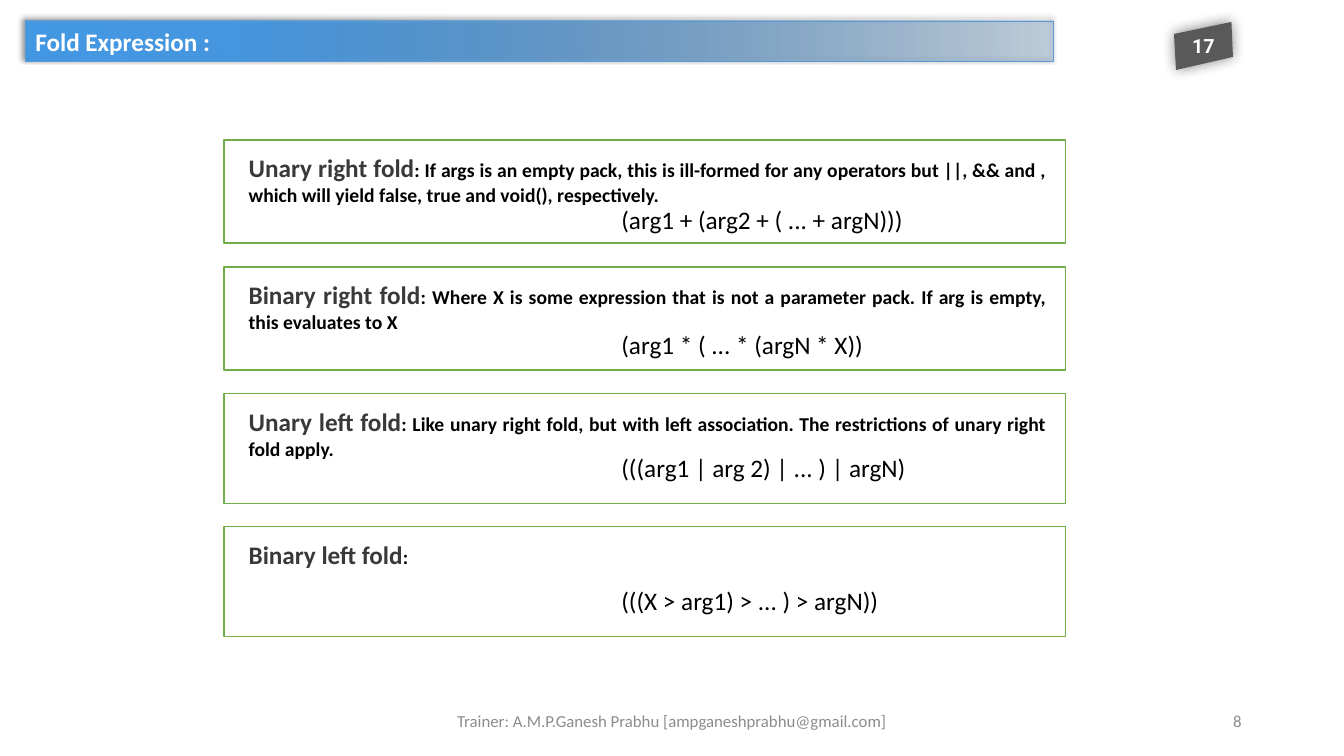
from pptx import Presentation
from pptx.dml.color import RGBColor
from pptx.enum.shapes import MSO_SHAPE
from pptx.enum.text import MSO_ANCHOR, PP_ALIGN
from pptx.oxml import parse_xml
from pptx.oxml.ns import nsdecls, qn
from pptx.util import Pt

RECT = MSO_SHAPE.RECTANGLE
TOP, MIDDLE = MSO_ANCHOR.TOP, MSO_ANCHOR.MIDDLE
LEFT, CENTER, RIGHT, JUSTIFY = (PP_ALIGN.LEFT, PP_ALIGN.CENTER,
                                PP_ALIGN.RIGHT, PP_ALIGN.JUSTIFY)

# Content
TITLE = "Fold Expression :"
BADGE = "17"
FOOTER = "Trainer: A.M.P.Ganesh Prabhu [ampganeshprabhu@gmail.com]"
PAGE = "8"
# name, description, formula, card top, card height, formula top
FOLDS = [
    ("Unary right fold",
     ": If args is an empty pack, this is ill-formed for any operators but ||, && and , "
     "which will yield false, true and void(), respectively.",
     "(arg1 + (arg2 + ( ... + argN)))", 100, 73.5, 142.5),
    ("Binary right fold",
     ": Where X is some expression that is not a parameter pack. "
     "If arg is empty, this evaluates to X",
     "(arg1 * ( ... * (argN * X))", 190.8, 73.5, 231.5),
    ("Unary left fold",
     ": Like unary right fold, but with left association. "
     "The restrictions of unary right fold apply.",
     "(((arg1 | arg 2) | ... ) | argN)", 281.2, 78.5, 319.6),
    ("Binary left fold", ":",
     "(((X > arg1) > ... ) > argN))", 376, 78.5, 414.7),
]

THEME = {
    "font": "Calibri", "badge_font": "Roboto",
    "large": 18, "text": 14, "small": 12,
    "white": "FFFFFF", "black": "000000", "name": "3B3838", "muted": "8C8C8C",
    "card_line": "70AD47", "title_line": "5B9BD5", "badge": "595959",
    # position %, colour, opacity %
    "gradient": [(0, "3674AD", 23), (80, "4697E0", 100), (100, "4498E4", 100)],
}

# Layout, in points
CARD_LEFT, CARD_WIDTH = 160, 601
TEXT_LEFT, TEXT_WIDTH, TEXT_DROP = 170.6, 584, 5.5
FORMULA_LEFT, FORMULA_WIDTH, LINE_HEIGHT = 436.8, 272, 29
FOOTER_TOP = 500.5
BADGE_CORNERS = [(838.6, 24.3), (879.6, 15.7), (880.7, 40.7), (840, 50)]


def color(key):
    return RGBColor.from_string(THEME[key])


def style(font, size, ink, bold=False, face="font"):
    font.name, font.size, font.bold = THEME[face], Pt(THEME[size]), bold
    font.color.rgb = color(ink)


def add_shadow(shape, opacity, blur, dist=0, angle=0):
    shape.shadow.inherit = False
    shape._element.spPr.find(qn("a:effectLst")).append(parse_xml(
        f'<a:outerShdw {nsdecls("a")} blurRad="{Pt(blur)}" dist="{Pt(dist)}" '
        f'dir="{angle * 60000}" algn="ctr" rotWithShape="0"><a:srgbClr val="000000">'
        f'<a:alpha val="{opacity * 1000}"/></a:srgbClr></a:outerShdw>'))


def add_text(shapes, box, text, size, ink, align=LEFT, anchor=TOP):
    tf = shapes.add_textbox(*map(Pt, box)).text_frame
    tf.word_wrap, tf.vertical_anchor = True, anchor
    p = tf.paragraphs[0]
    p.text, p.alignment = text, align
    style(p.font, size, ink)


def add_title(s):
    title = s.shapes.title
    title.left, title.top, title.width, title.height = map(Pt, (18, 15, 734.4, 29))
    title.line.color.rgb = color("title_line")
    title.line.width = Pt(0.5)
    title.fill.gradient()
    title.fill.gradient_angle = 180
    stops = title._element.spPr.find(qn("a:gradFill")).find(qn("a:gsLst"))
    for stop in list(stops):
        stops.remove(stop)
    for pos, rgb, opacity in THEME["gradient"]:
        stops.append(parse_xml(
            f'<a:gs {nsdecls("a")} pos="{pos * 1000}"><a:srgbClr val="{rgb}">'
            f'<a:alpha val="{opacity * 1000}"/></a:srgbClr></a:gs>'))
    add_shadow(title, 40, 4, 3, 225)
    tf = title.text_frame
    tf.vertical_anchor = MIDDLE
    p = tf.paragraphs[0]
    p.text, p.alignment = TITLE, LEFT
    style(p.font, "large", "white", bold=True)


def add_card(s, name, description, formula, top, height, formula_top):
    shapes = s.shapes.add_group_shape().shapes
    card = shapes.add_shape(RECT, *map(Pt, (CARD_LEFT, top, CARD_WIDTH, height)))
    card.shadow.inherit = False
    card.fill.solid()
    card.fill.fore_color.rgb = color("white")
    card.line.color.rgb = color("card_line")
    card.line.width = Pt(1)
    add_text(shapes, (FORMULA_LEFT, formula_top, FORMULA_WIDTH, LINE_HEIGHT),
             formula, "large", "black")
    box = shapes.add_textbox(
        *map(Pt, (TEXT_LEFT, top + TEXT_DROP, TEXT_WIDTH, 46)))
    tf = box.text_frame
    tf.word_wrap = True
    p = tf.paragraphs[0]
    p.alignment = JUSTIFY
    for text, size, ink in ((name, "large", "name"), (description, "text", "black")):
        r = p.add_run()
        r.text = text
        style(r.font, size, ink, bold=True)


def add_badge(s):
    corners = [(Pt(x), Pt(y)) for x, y in BADGE_CORNERS]
    builder = s.shapes.build_freeform(*corners[0])
    builder.add_line_segments(corners[1:], close=True)
    badge = builder.convert_to_shape()
    badge.fill.solid()
    badge.fill.fore_color.rgb = color("badge")
    badge.line.fill.background()
    add_shadow(badge, 50, 10)
    tf = badge.text_frame
    tf.margin_left = tf.margin_right = tf.margin_top = tf.margin_bottom = 0
    tf.vertical_anchor = MIDDLE
    p = tf.paragraphs[0]
    p.text, p.alignment = BADGE, CENTER
    style(p.font, "text", "white", bold=True, face="badge_font")


def main():
    prs = Presentation()
    prs.slide_width, prs.slide_height = Pt(960), Pt(540)
    s = prs.slides.add_slide(prs.slide_layouts[5])
    # Fold cards
    for fold in FOLDS:
        add_card(s, *fold)
    # Footer and page number
    add_text(s.shapes, (318, FOOTER_TOP, 324, LINE_HEIGHT), FOOTER,
             "small", "muted", CENTER, MIDDLE)
    add_text(s.shapes, (678, FOOTER_TOP, 216, LINE_HEIGHT), PAGE,
             "small", "muted", RIGHT, MIDDLE)
    # Title bar and badge
    add_title(s)
    add_badge(s)
    prs.save("out.pptx")


if __name__ == "__main__":
    main()
